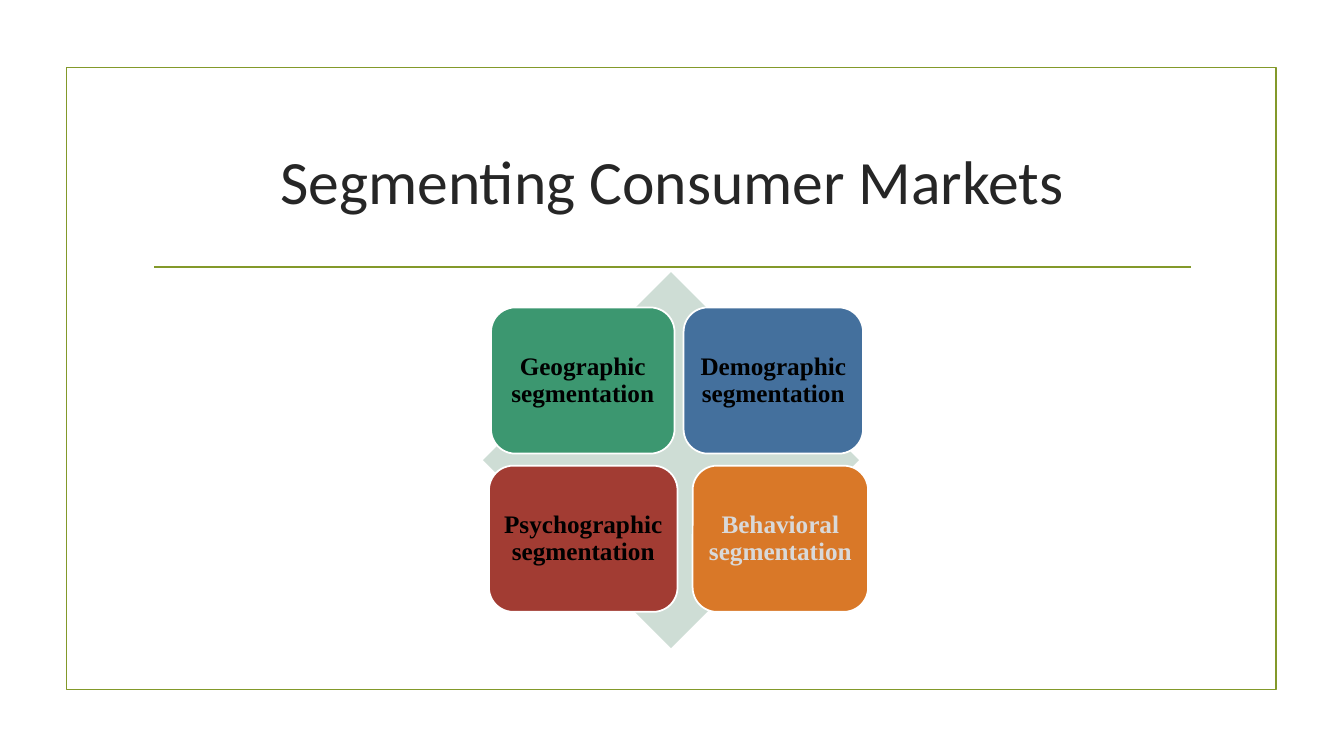
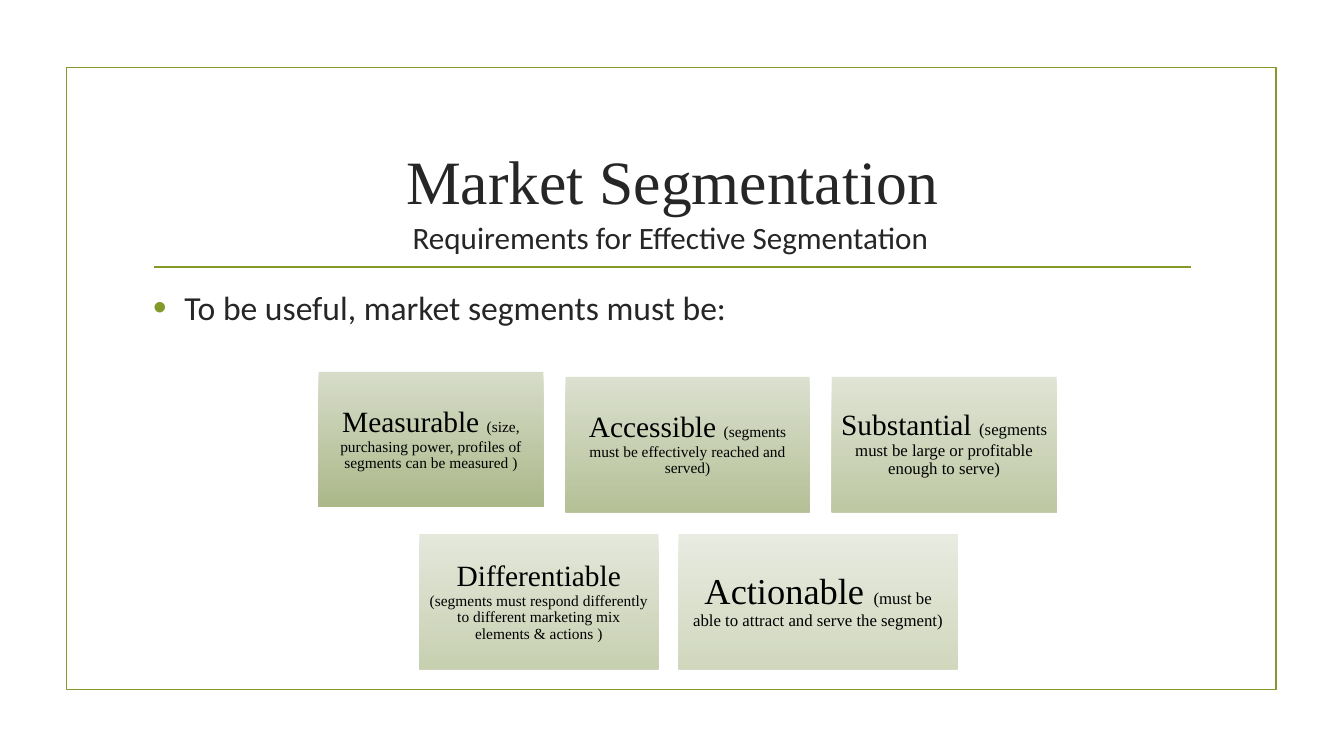
"""Build two slides on market segmentation."""
from lxml.etree import SubElement
from pptx import Presentation
from pptx.dml.color import RGBColor
from pptx.enum.shapes import MSO_CONNECTOR as Connector, MSO_SHAPE as Preset
from pptx.enum.text import MSO_ANCHOR as Anchor, PP_ALIGN as Align
from pptx.oxml.ns import qn
from pptx.util import Pt

PX = 9144
SANS, SERIF = "Calibri", "Times New Roman"
OLIVE = RGBColor(0x83, 0x99, 0x2A)
INK = RGBColor(0x26, 0x26, 0x26)
BLACK = RGBColor(0, 0, 0)
WHITE = RGBColor(0xFF, 0xFF, 0xFF)
SILVER = RGBColor(0xD9, 0xD9, 0xD9)
MIST = RGBColor(0xCE, 0xDD, 0xD5)
GREEN = RGBColor(0x3C, 0x97, 0x70)
BLUE = RGBColor(0x44, 0x70, 0x9D)
RED = RGBColor(0xA2, 0x3C, 0x33)
ORANGE = RGBColor(0xD9, 0x78, 0x28)
GRADIENT = (RGBColor(0xD3, 0xD9, 0xC4), RGBColor(0xA3, 0xB1, 0x7D))

SEGMENTS = [
    ("Geographic segmentation", 8, 0, 182, GREEN, BLACK),
    ("Demographic segmentation", 199, 0, 178, BLUE, BLACK),
    ("Psychographic segmentation", 6, 1, 187, RED, BLACK),
    ("Behavioral segmentation", 208, 1, 174, ORANGE, SILVER),
]
UPPER_ROW = [
    ("Measurable ", 21, "(size, purchasing power, profiles of segments can be measured )", 11, 223, -5, 90),
    ("Accessible ", 21, "(segments must be effectively reached and served)", 11, 242, 0, 80),
    ("Substantial ", 21, "(segments must be large or profitable enough to serve)", 12, 223, 0, 70),
]
LOWER_ROW = [
    ("Differentiable ", 21, "(segments must respond differently to different marketing mix elements & actions )",
     11, 237, 0, 60),
    ("Actionable ", 26, "(must be able to attract and serve the segment)", 12, 277, 0, 50),
]


def to_emu(*lengths):
    """Turn px lengths into EMU."""
    return [length * PX for length in lengths]


def add_span(para, text, size, font, color, bold=False):
    """Append one formatted run to a paragraph."""
    span = para.add_run()
    span.text = text
    span.font.size = Pt(size)
    span.font.name = font
    span.font.bold = bold
    span.font.color.rgb = color


def add_block(page, preset, box, fill=None, line=None):
    """Add a flat preset shape with an optional fill and outline."""
    block = page.shapes.add_shape(preset, *to_emu(*box))
    block.shadow.inherit = False
    if fill is None:
        block.fill.background()
    else:
        block.fill.solid()
        block.fill.fore_color.rgb = fill
    if line is None:
        block.line.fill.background()
    else:
        block.line.color.rgb = line
        block.line.width = Pt(1.25)
    return block


def centre_text(block, inset):
    """Set up a shape for tight centred text and return its paragraph."""
    frame = block.text_frame
    frame.word_wrap = True
    frame.vertical_anchor = Anchor.MIDDLE
    frame.margin_left = frame.margin_right = inset * PX
    frame.margin_top = frame.margin_bottom = inset * PX
    para = frame.paragraphs[0]
    para.alignment = Align.CENTER
    para.line_spacing = 0.9
    return para


def add_text_box(page, box):
    """Add a wrapping text box and return its paragraph."""
    frame = page.shapes.add_textbox(*to_emu(*box)).text_frame
    frame.word_wrap = True
    return frame.paragraphs[0]


def add_page(deck, title, font):
    """Add a slide with the shared frame, rule and title."""
    page = deck.slides.add_slide(deck.slide_layouts[5])
    add_block(page, Preset.RECTANGLE, (66, 67, 1200, 617), line=OLIVE)
    rule = page.shapes.add_connector(Connector.STRAIGHT, *to_emu(153, 265, 1181, 265))
    rule.line.color.rgb = OLIVE
    rule.line.width = Pt(1.25)
    SubElement(rule.element.spPr, qn("a:effectLst"))
    heading = page.shapes.title
    heading.left, heading.top, heading.width, heading.height = to_emu(142, 107, 1050, 143)
    heading.text_frame.vertical_anchor = Anchor.MIDDLE
    para = heading.text_frame.paragraphs[0]
    para.alignment = Align.CENTER
    add_span(para, title, 44, font, INK)
    return page


def add_segment_matrix(page, left, top, side):
    """Draw a diamond with four segment cards over it."""
    add_block(page, Preset.DIAMOND, (left, top, side, side), MIST)
    for text, offset, row, width, fill, color in SEGMENTS:
        box = (left + offset, top + 35 + row * 157, width, 145)
        card = add_block(page, Preset.ROUNDED_RECTANGLE, box, fill, WHITE)
        add_span(centre_text(card, 7), text, 18, SERIF, color, bold=True)


def fill_gradient(block, opacity):
    """Fill a shape from top to bottom with the translucent gradient."""
    block.fill.gradient()
    block.fill.gradient_angle = 270
    for stop, color in zip(block.fill.gradient_stops, GRADIENT):
        stop.color.rgb = color
    for color in block.element.spPr.iter(qn("a:srgbClr")):
        SubElement(color, qn("a:alpha"), val=str(opacity * 1000))


def add_requirement_row(page, left, top, gap, requirements):
    """Lay out requirement tiles from left to right with equal gaps."""
    for term, term_size, detail, detail_size, width, shift, opacity in requirements:
        tile = add_block(page, Preset.RECTANGLE, (left, top + shift, width, 134))
        fill_gradient(tile, opacity)
        para = centre_text(tile, 11 if term_size > 21 else 9)
        add_span(para, term, term_size, SERIF, BLACK)
        add_span(para, detail, detail_size, SERIF, BLACK)
        left += width + gap


def add_bullet(page, box, text):
    """Add a bulleted statement."""
    para = add_text_box(page, box)
    props = para._p.get_or_add_pPr()
    props.set("marL", str(31 * PX))
    props.set("indent", str(-31 * PX))
    color = SubElement(props, qn("a:buClr"))
    SubElement(color, qn("a:srgbClr"), val=str(OLIVE))
    SubElement(props, qn("a:buSzPct"), val="115000")
    SubElement(props, qn("a:buFont"), typeface="Arial")
    SubElement(props, qn("a:buChar"), char="•")
    add_span(para, text, 24, SANS, INK)


def build_consumer_page(deck):
    """Build the slide on consumer segments."""
    page = add_page(deck, "Segmenting Consumer Markets", SANS)
    add_segment_matrix(page, 479, 270, 373)


def build_requirements_page(deck):
    """Build the slide on requirements for segmentation."""
    page = add_page(deck, "Market Segmentation", SERIF)
    add_bullet(page, (142, 280, 1050, 60), "To be useful, market segments must be:")
    subtitle = add_text_box(page, (165, 212, 1000, 50))
    subtitle.alignment = Align.CENTER
    add_span(subtitle, "Requirements for Effective Segmentation", 22.2, SANS, INK)
    add_requirement_row(page, 316, 374, 22, UPPER_ROW)
    add_requirement_row(page, 416, 530, 20, LOWER_ROW)


def main():
    """Build and save the deck."""
    deck = Presentation()
    deck.slide_width, deck.slide_height = to_emu(1333, 750)
    build_consumer_page(deck)
    build_requirements_page(deck)
    deck.save("out.pptx")


if __name__ == "__main__":
    main()
